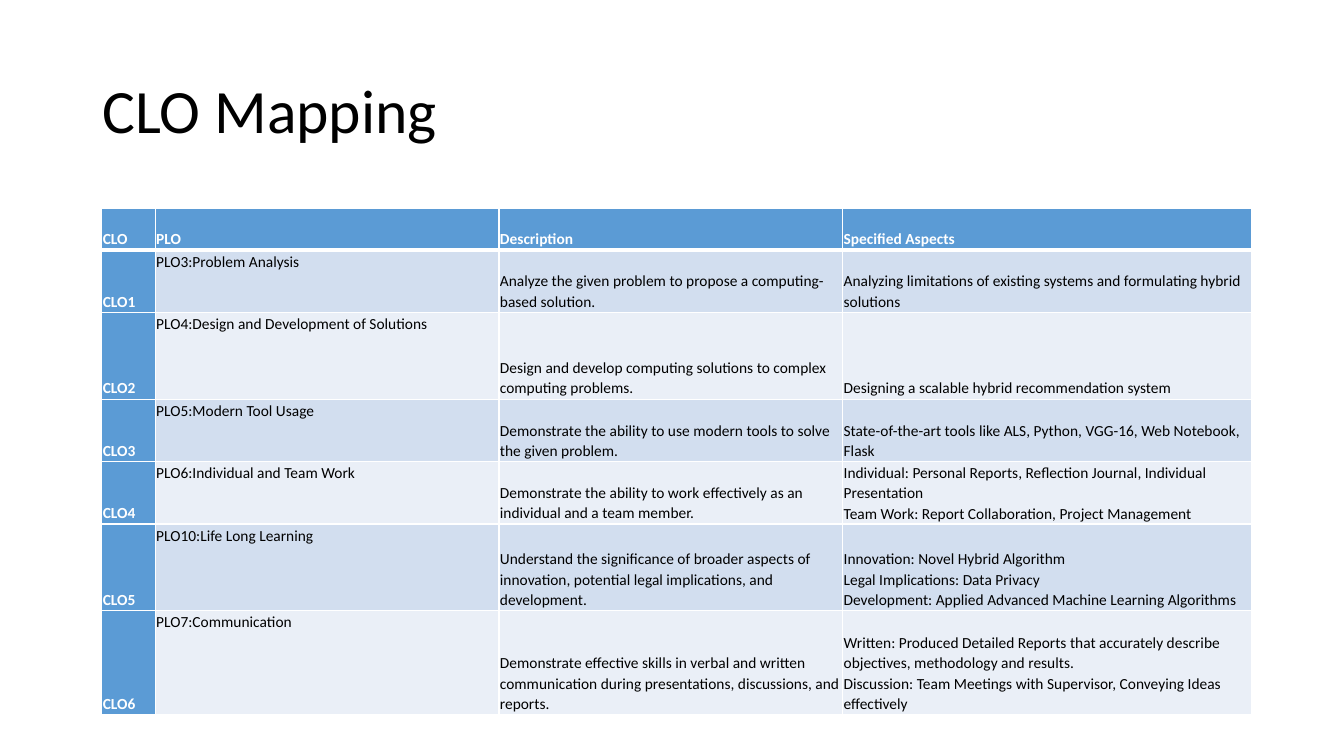
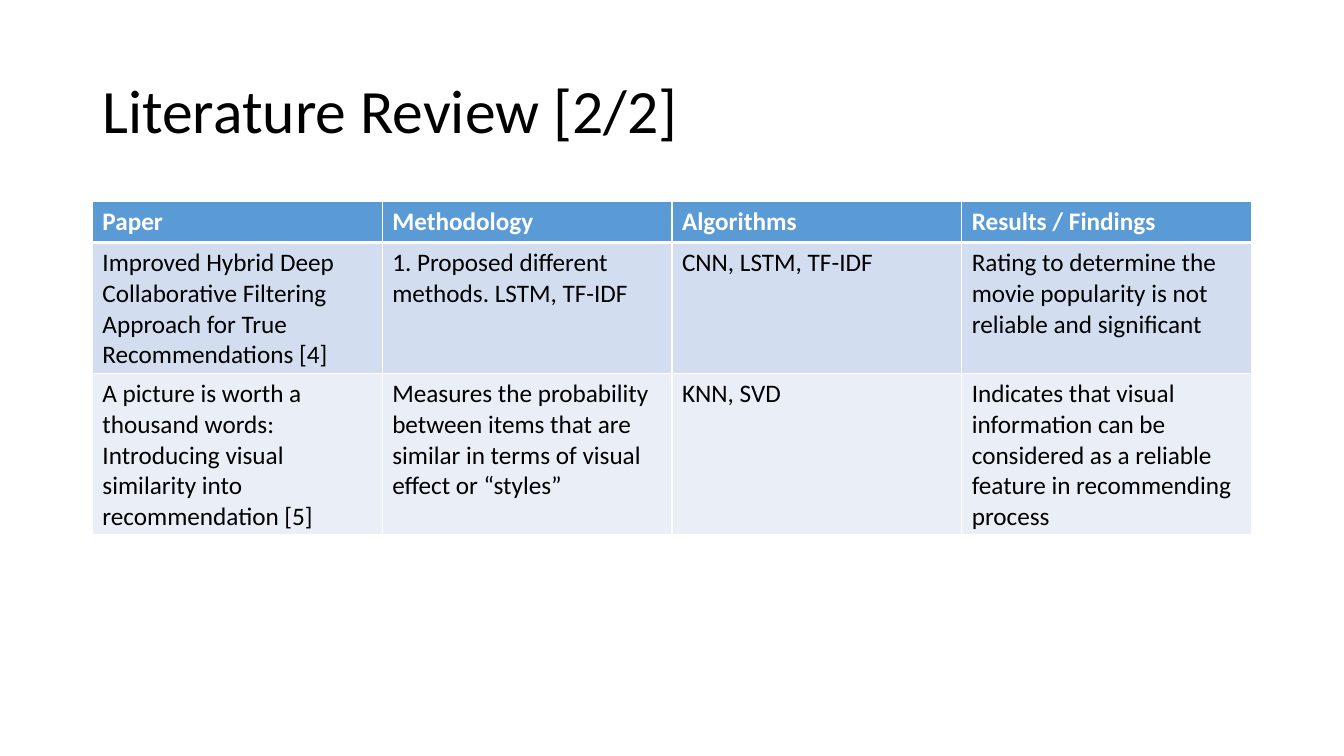
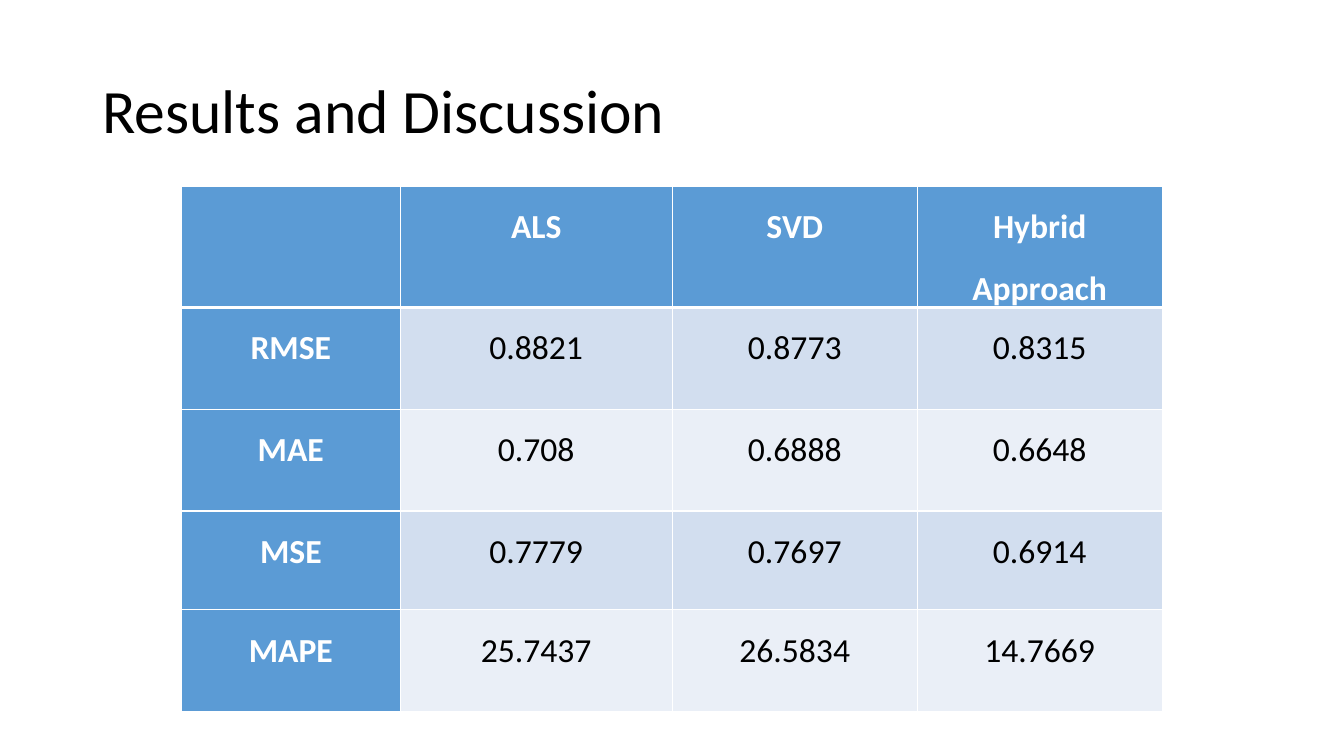
import dataclasses
import lxml.etree
import pptx
import pptx.dml.color
import pptx.enum.text
import pptx.oxml.ns
import pptx.util


@dataclasses.dataclass(frozen=True)
class Theme:
    font: str = "Calibri"
    accent: str = "5B9BD5"
    bands: tuple = ("D2DEEF", "EAEFF7")
    light: str = "FFFFFF"
    dark: str = "000000"
    title_size: int = 44
    dense_size: int = 11
    body_size: int = 18
    figure_size: int = 24
    thin_border: int = 1
    header_border: int = 3


theme = Theme()
presentation = pptx.Presentation()
presentation.slide_width = pptx.util.Inches(13.33)
presentation.slide_height = pptx.util.Inches(7.5)
column = presentation.slide_width / 160
row = presentation.slide_height / 90
top_anchor = pptx.enum.text.MSO_ANCHOR.TOP
middle_anchor = pptx.enum.text.MSO_ANCHOR.MIDDLE
bottom_anchor = pptx.enum.text.MSO_ANCHOR.BOTTOM
left_align = pptx.enum.text.PP_ALIGN.LEFT
center_align = pptx.enum.text.PP_ALIGN.CENTER


def style_paragraph(paragraph, size, color, bold, spacing):
    paragraph.font.name = theme.font
    paragraph.font.size = pptx.util.Pt(size)
    paragraph.font.bold = bold
    paragraph.font.color.rgb = pptx.dml.color.RGBColor.from_string(color)
    paragraph.line_spacing = spacing


def add_border(cell, side, width):
    properties = cell._tc.get_or_add_tcPr()
    name = pptx.oxml.ns.qn
    line = lxml.etree.SubElement(properties, name("a:ln" + side), w=str(pptx.util.Pt(width)))
    fill = lxml.etree.SubElement(line, name("a:solidFill"))
    lxml.etree.SubElement(fill, name("a:srgbClr"), val=theme.light)


pages = [
    dict(
        title="CLO Mapping",
        left=12.12, top=24.84,
        widths=[6.36, 40.92, 40.92, 48.72],
        heights=[4.92, 7.44, 10.32, 7.44, 7.44, 10.32, 12.36],
        size=theme.dense_size, spacing=1.07, align=left_align,
        insets=(0.01, 0.01),
        anchors=[bottom_anchor, top_anchor, bottom_anchor, bottom_anchor],
        space_after=[8, 8, 8, 0],
        row_headings=True,
        rows=[
            ["CLO", "PLO", "Description", "Specified Aspects"],
            ["CLO1", "PLO3:Problem Analysis",
             "Analyze the given problem to propose a computing-based solution.",
             "Analyzing limitations of existing systems and formulating hybrid solutions"],
            ["CLO2", "PLO4:Design and Development of Solutions",
             "Design and develop computing solutions to complex computing problems.",
             "Designing a scalable hybrid recommendation system"],
            ["CLO3", "PLO5:Modern Tool Usage",
             "Demonstrate the ability to use modern tools to solve the given problem.",
             "State-of-the-art tools like ALS, Python, VGG-16, Web Notebook, Flask"],
            ["CLO4", "PLO6:Individual and Team Work",
             "Demonstrate the ability to work effectively as an individual and a team member.",
             "Individual: Personal Reports, Reflection Journal, Individual Presentation\n"
             "Team Work: Report Collaboration, Project Management"],
            ["CLO5", "PLO10:Life Long Learning",
             "Understand the significance of broader aspects of innovation, "
             "potential legal implications, and development.",
             "Innovation: Novel Hybrid Algorithm\n"
             "Legal Implications: Data Privacy\n"
             "Development: Applied Advanced Machine Learning Algorithms"],
            ["CLO6", "PLO7:Communication",
             "Demonstrate effective skills in verbal and written communication "
             "during presentations, discussions, and reports.",
             "Written: Produced Detailed Reports that accurately describe "
             "objectives, methodology and results.\n"
             "Discussion: Team Meetings with Supervisor, Conveying Ideas effectively"],
        ],
    ),
    dict(
        title="Literature Review [2/2]",
        left=11, top=24,
        widths=[34.5] * 4,
        heights=[4.87] * 3,
        size=theme.body_size, spacing=1.0, align=left_align,
        insets=(0.1, 0.05),
        anchors=[top_anchor] * 4,
        space_after=[0] * 4,
        row_headings=False,
        rows=[
            ["Paper", "Methodology", "Algorithms", "Results / Findings"],
            ["Improved Hybrid Deep Collaborative Filtering Approach for True Recommendations [4]",
             "1. Proposed different methods. LSTM, TF-IDF",
             "CNN, LSTM, TF-IDF",
             "Rating to determine the movie popularity is not reliable and significant"],
            ["A picture is worth a thousand words: "
             "Introducing visual similarity into recommendation [5]",
             "Measures the probability between items that are similar "
             "in terms of visual effect or “styles”",
             "KNN, SVD",
             "Indicates that visual information can be considered "
             "as a reliable feature in recommending process"],
        ],
    ),
    dict(
        title="Results and Discussion",
        left=21.6, top=22.2,
        widths=[26.04, 32.4, 29.16, 29.16],
        heights=[12.12, 12.12, 12.12, 11.76, 12.12],
        size=theme.figure_size, spacing=1.5, align=center_align,
        insets=(0.07, 0),
        anchors=[top_anchor] * 4,
        space_after=[0] * 4,
        row_headings=True,
        rows=[
            ["", "ALS", "SVD", "Hybrid Approach"],
            ["RMSE", "0.8821", "0.8773", "0.8315"],
            ["MAE", "0.708", "0.6888", "0.6648"],
            ["MSE", "0.7779", "0.7697", "0.6914"],
            ["MAPE", "25.7437", "26.5834", "14.7669"],
        ],
    ),
]

for page in pages:
    slide = presentation.slides.add_slide(presentation.slide_layouts[6])
    title = slide.shapes.add_textbox(
        int(11 * column), int(4.8 * row), int(138 * column), int(17.4 * row)
    )
    title.text_frame.word_wrap = True
    title.text_frame.vertical_anchor = middle_anchor
    title.text_frame.text = page["title"]
    style_paragraph(title.text_frame.paragraphs[0], theme.title_size, theme.dark, False, 0.9)

    table = slide.shapes.add_table(
        len(page["rows"]), len(page["widths"]),
        int(page["left"] * column), int(page["top"] * row),
        int(sum(page["widths"]) * column), int(sum(page["heights"]) * row),
    ).table
    table.horz_banding = False
    for table_column, width in zip(table.columns, page["widths"]):
        table_column.width = int(width * column)
    for table_row, height in zip(table.rows, page["heights"]):
        table_row.height = int(height * row)

    side_inset, edge_inset = map(pptx.util.Inches, page["insets"])
    for row_index, texts in enumerate(page["rows"]):
        for column_index, text in enumerate(texts):
            cell = table.cell(row_index, column_index)
            heading = row_index == 0 or (page["row_headings"] and column_index == 0)
            cell.text = text
            cell.margin_left = cell.margin_right = side_inset
            cell.margin_top = cell.margin_bottom = edge_inset
            cell.vertical_anchor = bottom_anchor if row_index == 0 and page["size"] == theme.dense_size \
                else page["anchors"][column_index]
            for paragraph in cell.text_frame.paragraphs:
                style_paragraph(
                    paragraph, page["size"], theme.light if heading else theme.dark,
                    heading, page["spacing"],
                )
                paragraph.alignment = page["align"]
                paragraph.space_after = pptx.util.Pt(page["space_after"][column_index])
            border_widths = dict.fromkeys("LRTB", theme.thin_border)
            if row_index < 2:
                border_widths["B" if row_index == 0 else "T"] = theme.header_border
            for side, width in border_widths.items():
                add_border(cell, side, width)
            cell.fill.solid()
            cell.fill.fore_color.rgb = pptx.dml.color.RGBColor.from_string(
                theme.accent if heading else theme.bands[(row_index - 1) % 2]
            )

presentation.save("out.pptx")
